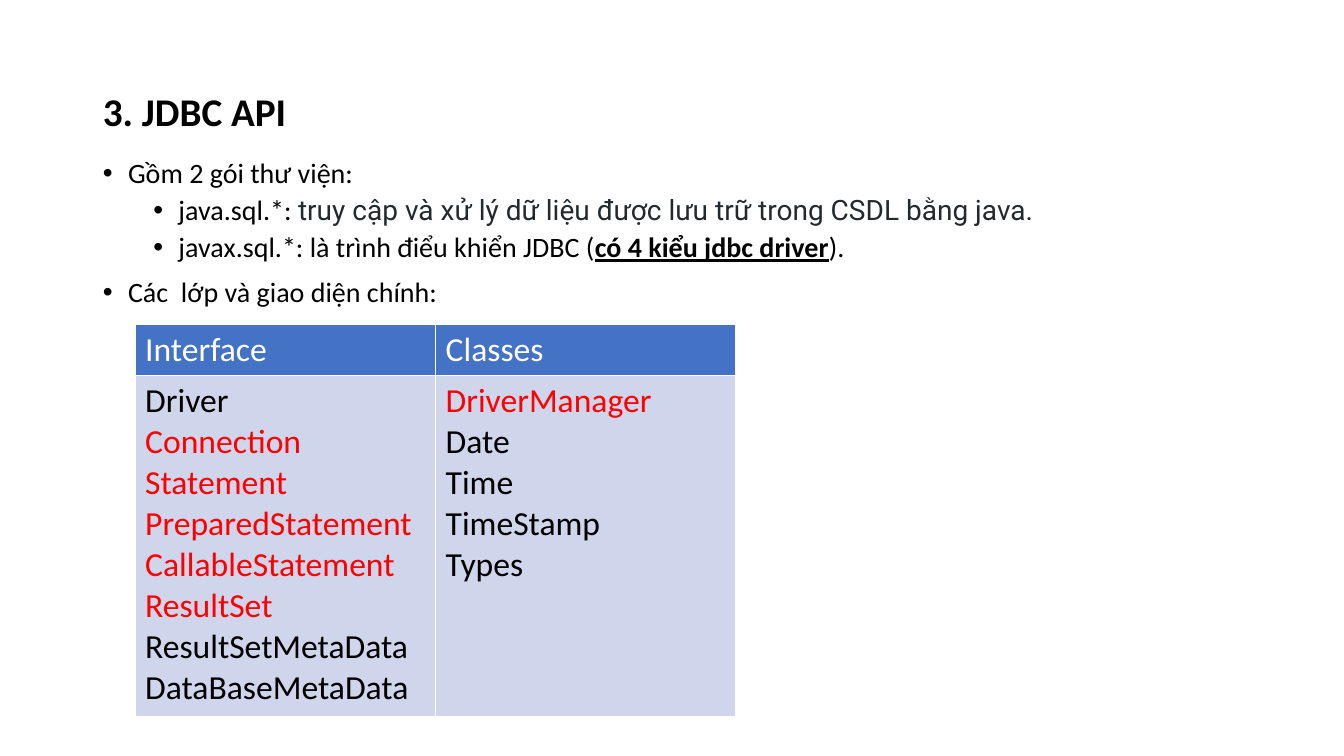
import lxml.etree
import pptx
import pptx.dml.color
import pptx.enum.text
import pptx.oxml.ns
import pptx.util

PX = 9144  # 100 px to the inch
COLORS = {
    "black": "000000", "white": "FFFFFF", "red": "FF0000", "ink": "24292E",
    "header": "4472C4", "cell": "CFD5EA",
}
INTERFACES = ["Driver", "Connection", "Statement", "PreparedStatement",
              "CallableStatement", "ResultSet", "ResultSetMetaData",
              "DataBaseMetaData"]
CLASSES = ["DriverManager", "Date", "Time", "TimeStamp", "Types"]
HIGHLIGHTED = {"Connection", "Statement", "PreparedStatement",
               "CallableStatement", "ResultSet", "DriverManager"}

# Each bullet: level and its runs of text with their format
BULLETS = [
    (0, [("Gồm 2 gói thư viện:", {})]),
    (1, [("java.sql.*: ", {}),
         ("truy cập và xử lý dữ liệu được lưu trữ trong CSDL bằng java.",
          {"font": "Roboto", "color": "ink"})]),
    (1, [("javax.sql.*: là trình điểu khiển JDBC (", {}),
         ("có 4 kiểu jdbc driver", {"bold": True, "underline": True}),
         (").", {})]),
    (0, [("Các  lớp và giao diện chính:", {})]),
]


def px(n):
    return pptx.util.Emu(n * PX)


def rgb(name):
    return pptx.dml.color.RGBColor.from_string(COLORS[name])


def sub(parent, tag, **attrs):
    return lxml.etree.SubElement(parent, pptx.oxml.ns.qn(tag), attrs)


def add_run(p, text, size=20, font="Calibri", color="black", bold=False,
            underline=False):
    r = p.add_run()
    r.text = text
    r.font.size = pptx.util.Pt(size)
    r.font.name = font
    r.font.color.rgb = rgb(color)
    r.font.bold = bold
    r.font.underline = underline


def place(sp, left, top, width, height, anchor):
    sp.left, sp.top, sp.width, sp.height = map(px, (left, top, width, height))
    tf = sp.text_frame
    tf.word_wrap = True
    tf.auto_size = pptx.enum.text.MSO_AUTO_SIZE.NONE
    tf.vertical_anchor = anchor
    return tf


def get_paragraph(tf, i):
    return tf.paragraphs[0] if i == 0 else tf.add_paragraph()


def fill_title(sp, text):
    tf = place(sp, 92, 40, 1150, 145, pptx.enum.text.MSO_ANCHOR.MIDDLE)
    p = tf.paragraphs[0]
    p.alignment = pptx.enum.text.PP_ALIGN.LEFT
    p.line_spacing = 0.9
    add_run(p, text, size=28, bold=True)


def fill_bullets(sp, bullets):
    tf = place(sp, 92, 153, 1150, 160, pptx.enum.text.MSO_ANCHOR.TOP)
    for i, (level, runs) in enumerate(bullets):
        p = get_paragraph(tf, i)
        p.level = level
        pPr = p._p.get_or_add_pPr()
        pPr.set("marL", str(px(25 + 50 * level)))
        pPr.set("indent", str(px(-25)))
        sub(pPr, "a:buFont", typeface="Arial")
        sub(pPr, "a:buChar", char="•")
        p.line_spacing = 0.9
        p.space_before = pptx.util.Pt(0 if i == 0 else 5 if level else 10)
        for text, style in runs:
            add_run(p, text, **style)


def fill_cell(cell, lines, fill, color):
    tcPr = cell._tc.get_or_add_tcPr()
    for side in ("a:lnL", "a:lnR", "a:lnT", "a:lnB"):
        ln = sub(tcPr, side, w=str(pptx.util.Pt(1)))
        sub(sub(ln, "a:solidFill"), "a:srgbClr", val=COLORS["white"])
    cell.fill.solid()
    cell.fill.fore_color.rgb = rgb(fill)
    for i, text in enumerate(lines):
        p = get_paragraph(cell.text_frame, i)
        add_run(p, text, size=24,
                color="red" if text in HIGHLIGHTED else color)


def add_api_table(s, columns):
    table = s.shapes.add_table(2, len(columns), px(134), px(322),
                               px(596), px(388)).table
    table.rows[0].height, table.rows[1].height = px(50), px(338)
    for c, (heading, names) in enumerate(columns):
        table.columns[c].width = px(298)
        fill_cell(table.cell(0, c), [heading], "header", "white")
        fill_cell(table.cell(1, c), names, "cell", "black")


def main():
    prs = pptx.Presentation()
    prs.slide_width, prs.slide_height = px(1333), px(750)
    s = prs.slides.add_slide(prs.slide_layouts[1])

    # Heading and list
    fill_title(s.shapes.title, "3. JDBC API")
    fill_bullets(s.placeholders[1], BULLETS)

    # Interfaces and classes
    add_api_table(s, [("Interface", INTERFACES), ("Classes", CLASSES)])

    prs.save("out.pptx")


if __name__ == "__main__":
    main()
